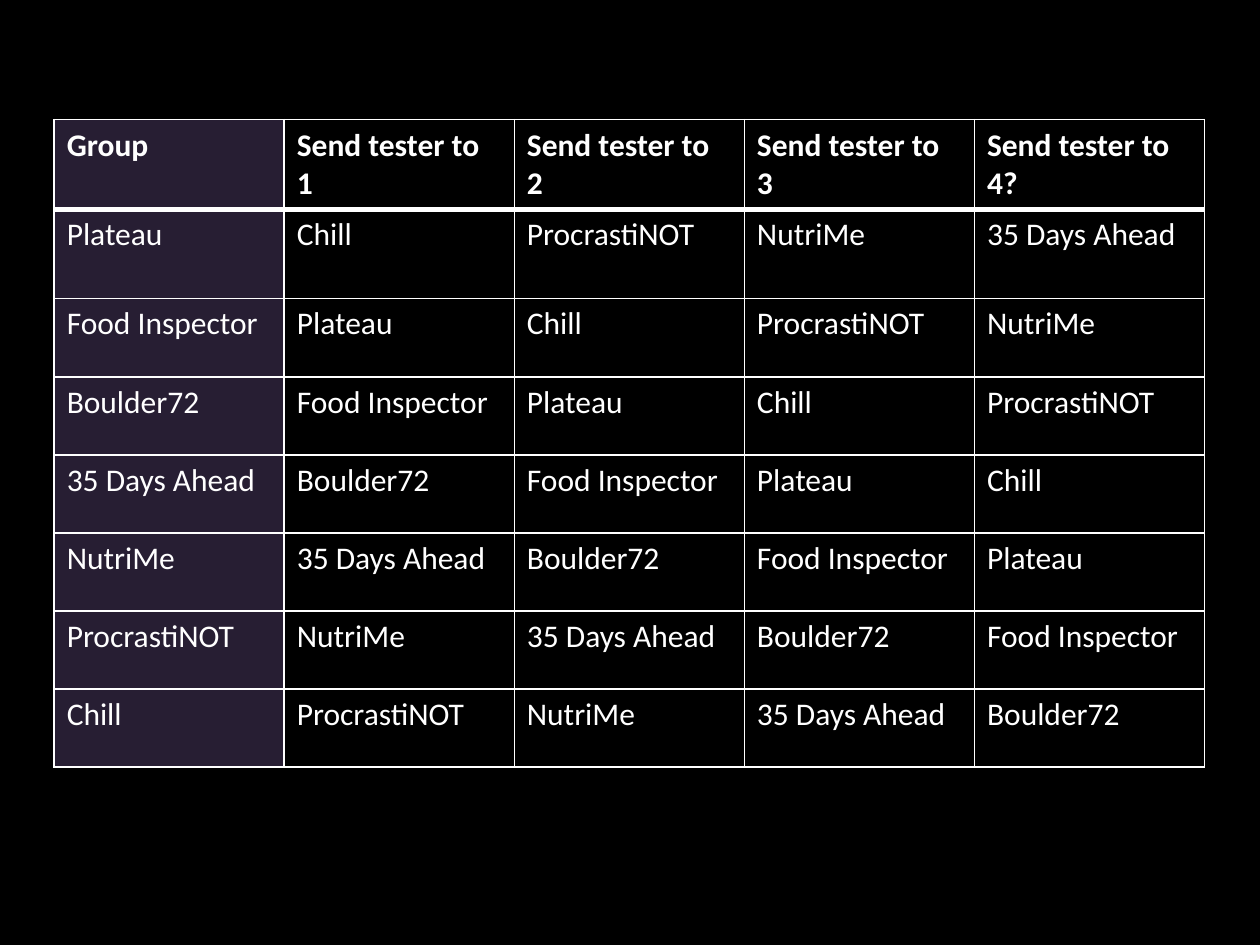
from dataclasses import dataclass

from lxml import etree
from pptx import Presentation
from pptx import util as u
from pptx.dml.color import RGBColor
from pptx.enum import text
from pptx.oxml import ns

BLACK = RGBColor(0x00, 0x00, 0x00)
PURPLE = RGBColor(0x27, 0x1E, 0x33)
WHITE = RGBColor(0xFF, 0xFF, 0xFF)

GROUPS = ["Plateau", "Food Inspector", "Boulder72", "35 Days Ahead",
          "NutriMe", "ProcrastiNOT", "Chill"]
HEADINGS = ["Group"] + [f"Send tester to {visit}" for visit in ("1", "2", "3", "4?")]
HEADER_HEIGHT, FIRST_HEIGHT, GROUP_HEIGHT = 0.69, 0.71, 0.62
SCHEDULE_WIDTH = 9.13


@dataclass
class Entry:
    words: str
    fill: RGBColor
    bold: bool = False
    top: float = 1
    bottom: float = 1


def add_border(cell, side: str, points: float) -> None:
    line = etree.SubElement(cell._tc.get_or_add_tcPr(), ns.qn(f"a:{side}"),
                            w=str(u.Pt(points)))
    solid = etree.SubElement(line, ns.qn("a:solidFill"))
    etree.SubElement(solid, ns.qn("a:srgbClr"), val=str(WHITE))


def write_entry(cell, entry: Entry) -> None:
    # Borders precede the fill in the cell properties
    for side, points in (("lnL", 1), ("lnR", 1), ("lnT", entry.top), ("lnB", entry.bottom)):
        add_border(cell, side, points)
    cell.fill.solid()
    cell.fill.fore_color.rgb = entry.fill
    cell.vertical_anchor = text.MSO_ANCHOR.TOP
    run = cell.text_frame.paragraphs[0].add_run()
    run.text = entry.words
    run.font.name = "Calibri"
    run.font.size = u.Pt(18)
    run.font.bold = entry.bold
    run.font.color.rgb = WHITE


def schedule_entry(row: int, column: int) -> Entry:
    fill = BLACK if column else PURPLE
    if row == 0:
        return Entry(HEADINGS[column], fill, bold=True, bottom=3)
    # Each visit sends the tester one group further back in the list
    group = GROUPS[(row - 1 - column) % len(GROUPS)]
    return Entry(group, fill, top=3 if row == 1 else 1)


deck = Presentation()
deck.slide_width, deck.slide_height = u.Inches(10), u.Inches(7.5)
slide = deck.slides.add_slide(deck.slide_layouts[6])
slide.background.fill.solid()
slide.background.fill.fore_color.rgb = BLACK

# Tester rotation schedule
heights = [HEADER_HEIGHT, FIRST_HEIGHT] + [GROUP_HEIGHT] * (len(GROUPS) - 1)
schedule = slide.shapes.add_table(
    len(heights), len(HEADINGS), u.Inches(0.43), u.Inches(0.95),
    u.Inches(SCHEDULE_WIDTH), u.Inches(sum(heights))).table
for column in schedule.columns:
    column.width = u.Inches(SCHEDULE_WIDTH / len(HEADINGS))
for row, height in enumerate(heights):
    schedule.rows[row].height = u.Inches(height)
    for column in range(len(HEADINGS)):
        write_entry(schedule.cell(row, column), schedule_entry(row, column))

deck.save("out.pptx")
